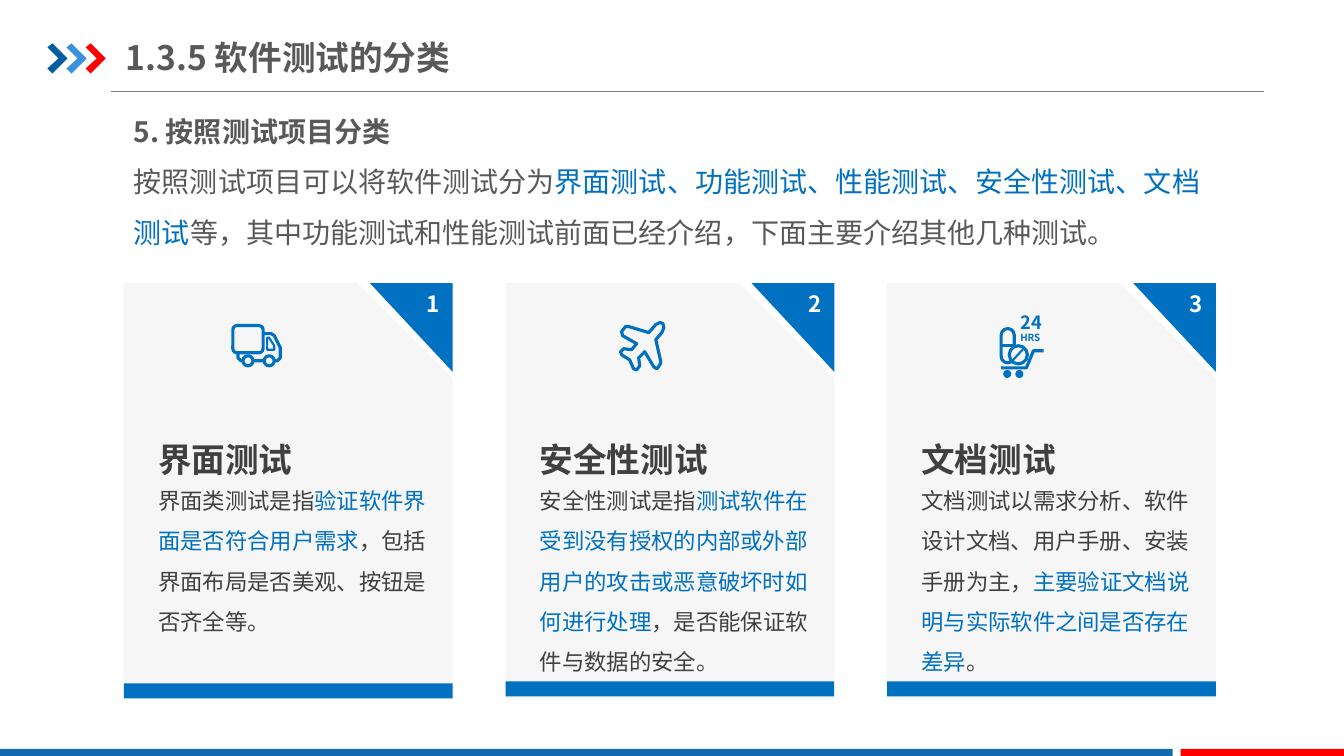
from dataclasses import dataclass
from lxml.etree import SubElement
from pptx import Presentation
from pptx.dml.color import RGBColor
from pptx.enum.shapes import MSO_CONNECTOR as Conn, MSO_SHAPE as Geo
from pptx.enum.text import MSO_ANCHOR as Anchor, MSO_AUTO_SIZE as Auto, PP_ALIGN as Align
from pptx.oxml.ns import qn
from pptx.util import Inches, Pt


@dataclass(frozen=True)
class Theme:
    font: str = "Noto Sans CJK SC"
    blue: str = "0070C0"
    navy: str = "005DA2"
    sky: str = "3992DB"
    red: str = "FF0000"
    base: str = "1369B2"
    gray: str = "595959"
    ink: str = "404040"
    pale: str = "F6F6F6"
    white: str = "FFFFFF"
    rule: str = "808080"
    head: int = 24
    lead: int = 20
    body: int = 16
    icon: int = 13
    tiny: int = 7
    pen: float = 2.25


T = Theme()


def paint(shape, fill=None, line=None):
    shape.shadow.inherit = False
    if fill:
        shape.fill.solid()
        shape.fill.fore_color.rgb = RGBColor.from_string(fill)
    else:
        shape.fill.background()
    if line:
        shape.line.color.rgb = RGBColor.from_string(line)
        shape.line.width = Pt(T.pen)
    else:
        shape.line.fill.background()
    return shape


def block(slide, geo, x, y, w, h, fill=None, line=None):
    shape = slide.shapes.add_shape(geo, Inches(x), Inches(y), Inches(w), Inches(h))
    return paint(shape, fill, line)


def disc(slide, x, y, r, fill=None, line=None):
    return block(slide, Geo.OVAL, x - r, y - r, 2 * r, 2 * r, fill, line)


def outline(slide, x, y, dots, fill=None, line=None, close=True):
    pen = slide.shapes.build_freeform(*dots[0], scale=Inches(0.01))
    pen.add_line_segments(dots[1:], close=close)
    return paint(pen.convert_to_shape(Inches(x), Inches(y)), fill, line)


def rule(slide, x, y, to_x, to_y, color, width):
    line = slide.shapes.add_connector(
        Conn.STRAIGHT, Inches(x), Inches(y), Inches(to_x), Inches(to_y))
    line.line.color.rgb = RGBColor.from_string(color)
    line.line.width = Pt(width)
    SubElement(line._element.spPr, qn("a:effectLst"))


def area(slide, x, y, w, h):
    return slide.shapes.add_textbox(Inches(x), Inches(y), Inches(w), Inches(h))


def write(shape, text, size=T.body, color=T.ink, bold=False, align=Align.LEFT,
          space=1.0, inset=(0.1, 0.05), anchor=Anchor.TOP, grow=False, more=False):
    frame = shape.text_frame
    frame.word_wrap = True
    frame.auto_size = Auto.SHAPE_TO_FIT_TEXT if grow else Auto.NONE
    frame.vertical_anchor = anchor
    frame.margin_left = frame.margin_right = Inches(inset[0])
    frame.margin_top = frame.margin_bottom = Inches(inset[1])
    para = frame.add_paragraph() if more else frame.paragraphs[0]
    para.alignment = align
    para.line_spacing = space
    parts = [(text, color)] if isinstance(text, str) else text
    for words, tint in parts:
        run = para.add_run()
        run.text = words
        run.font.name = T.font
        run.font.size = Pt(size)
        run.font.bold = bold
        run.font.color.rgb = RGBColor.from_string(tint)


def header(slide, x, y, w):
    rule(slide, x + 0.63, y + 0.48, x + w, y + 0.48, T.rule, 0.75)
    arrow = [(0, 4), (5, 0), (20, 15), (5, 30), (0, 25), (11, 15)]
    for i, color in enumerate((T.navy, T.sky, T.red)):
        outline(slide, x + 0.19 * i, y, arrow, color)
    write(area(slide, x + 0.78, y - 0.14, 4.26, 0.55), "1.3.5 软件测试的分类",
          size=T.head, color=T.gray, bold=True, inset=(0, 0.07), anchor=Anchor.MIDDLE)


def footer(slide, y, h):
    block(slide, Geo.RECTANGLE, 0, y, 11.63, h, T.base)
    block(slide, Geo.RECTANGLE, 11.71, y, 1.63, h, T.red)


def intro(slide, x, y, w, h):
    box = area(slide, x, y, w, h)
    write(box, "5. 按照测试项目分类", size=T.lead, color=T.gray, bold=True, space=1.5)
    write(box, [("按照测试项目可以将软件测试分为", T.gray),
                ("界面测试、功能测试、性能测试、安全性测试、文档测试", T.blue),
                ("等，其中功能测试和性能测试前面已经介绍，下面主要介绍其他几种测试。", T.gray)],
          size=T.lead, space=1.5, more=True)


def truck(slide, x, y):
    x, y = x + 1.06, y + 0.4
    load = block(slide, Geo.ROUNDED_RECTANGLE, x + 0.02, y + 0.02, 0.3, 0.27, line=T.blue)
    load.adjustments[0] = 0.15
    outline(slide, x, y, [(7, 28), (7, 34), (10, 37), (46, 37), (49, 34), (49, 24),
                          (43, 12), (40, 10), (32, 10)], line=T.blue, close=False)
    glass = outline(slide, x, y, [(36, 14), (38, 14), (43, 22), (43, 26), (36, 26)],
                    line=T.blue)
    glass.line.width = Pt(1.5)
    for wheel in (0.17, 0.38):
        disc(slide, x + wheel, y + 0.37, 0.05, T.pale, T.blue)


def plane(slide, x, y):
    outline(slide, x + 1.12, y + 0.38, [
        (44, 2), (45, 6), (43, 11), (37, 18), (42, 40), (41, 43), (38, 47),
        (35, 45), (26, 30), (20, 36), (21, 44), (18, 48), (15, 47), (11, 38),
        (3, 33), (2, 30), (5, 27), (13, 28), (18, 22), (4, 14), (3, 10), (7, 5),
        (10, 5), (30, 11), (37, 3), (41, 1)], line=T.blue)


def cart(slide, x, y):
    x, y = x + 1.12, y + 0.34
    pill = block(slide, Geo.ROUNDED_RECTANGLE, x + 0.01, y + 0.11, 0.13, 0.34, line=T.blue)
    pill.adjustments[0] = 0.5
    rule(slide, x + 0.01, y + 0.28, x + 0.14, y + 0.28, T.blue, T.pen)
    disc(slide, x + 0.18, y + 0.37, 0.09, T.pale, T.blue)
    rule(slide, x + 0.12, y + 0.43, x + 0.24, y + 0.3, T.blue, 1.5)
    outline(slide, x, y, [(1, 50), (26, 50), (33, 33), (43, 33)], line=T.blue, close=False)
    for wheel in (0.07, 0.19):
        disc(slide, x + wheel, y + 0.56, 0.04, T.blue)
    for text, top, size in (("24", -0.06, T.icon), ("HRS", 0.14, T.tiny)):
        write(area(slide, x + 0.12, y + top, 0.4, 0.2), text, size=size,
              color=T.blue, bold=True, inset=(0.08, 0))


def card(slide, x, y, w, h, num, icon, name, text, base):
    back = block(slide, Geo.SNIP_1_RECTANGLE, x, y, w, h, T.pale)
    back.adjustments[0] = 0.29
    block(slide, Geo.RECTANGLE, x, y + base, w, 0.15, T.blue)
    flag = outline(slide, x + w - 0.82, y, [(82, 0), (0, 0), (82, 88)], T.blue)
    write(flag, str(num), color=T.white, bold=True, align=Align.RIGHT, inset=(0.13, 0.07))
    write(area(slide, x + 0.24, y + 1.84, 2.89, 2.12), text, space=1.5, grow=True)
    write(area(slide, x + 0.24, y + 1.29, 2.4, 0.71), name, size=T.head,
          bold=True, space=1.5, grow=True)
    icon(slide, x, y)


CARDS = [
    (truck, "界面测试", [
        ("界面类测试是指", T.ink), ("验证软件界面是否符合用户需求", T.blue),
        ("，包括界面布局是否美观、按钮是否齐全等。", T.ink)], 3.97),
    (plane, "安全性测试", [
        ("安全性测试是指", T.ink),
        ("测试软件在受到没有授权的内部或外部用户的攻击或恶意破坏时如何进行处理", T.blue),
        ("，是否能保证软件与数据的安全。", T.ink)], 3.95),
    (cart, "文档测试", [
        ("文档测试以需求分析、软件设计文档、用户手册、安装手册为主，", T.ink),
        ("主要验证文档说明与实际软件之间是否存在差异", T.blue), ("。", T.ink)], 3.95),
]


def main():
    deck = Presentation()
    deck.slide_width, deck.slide_height = Inches(13.33), Inches(7.5)
    slide = deck.slides.add_slide(deck.slide_layouts[6])
    header(slide, 0.47, 0.43, 12.07)
    footer(slide, 7.43, 0.09)
    for i, parts in enumerate(CARDS):
        card(slide, 1.23 + 3.785 * i, 2.81, 3.26, 4.13, i + 1, *parts)
    intro(slide, 1.23, 0.92, 11, 1.24)
    deck.save("out.pptx")


if __name__ == "__main__":
    main()
